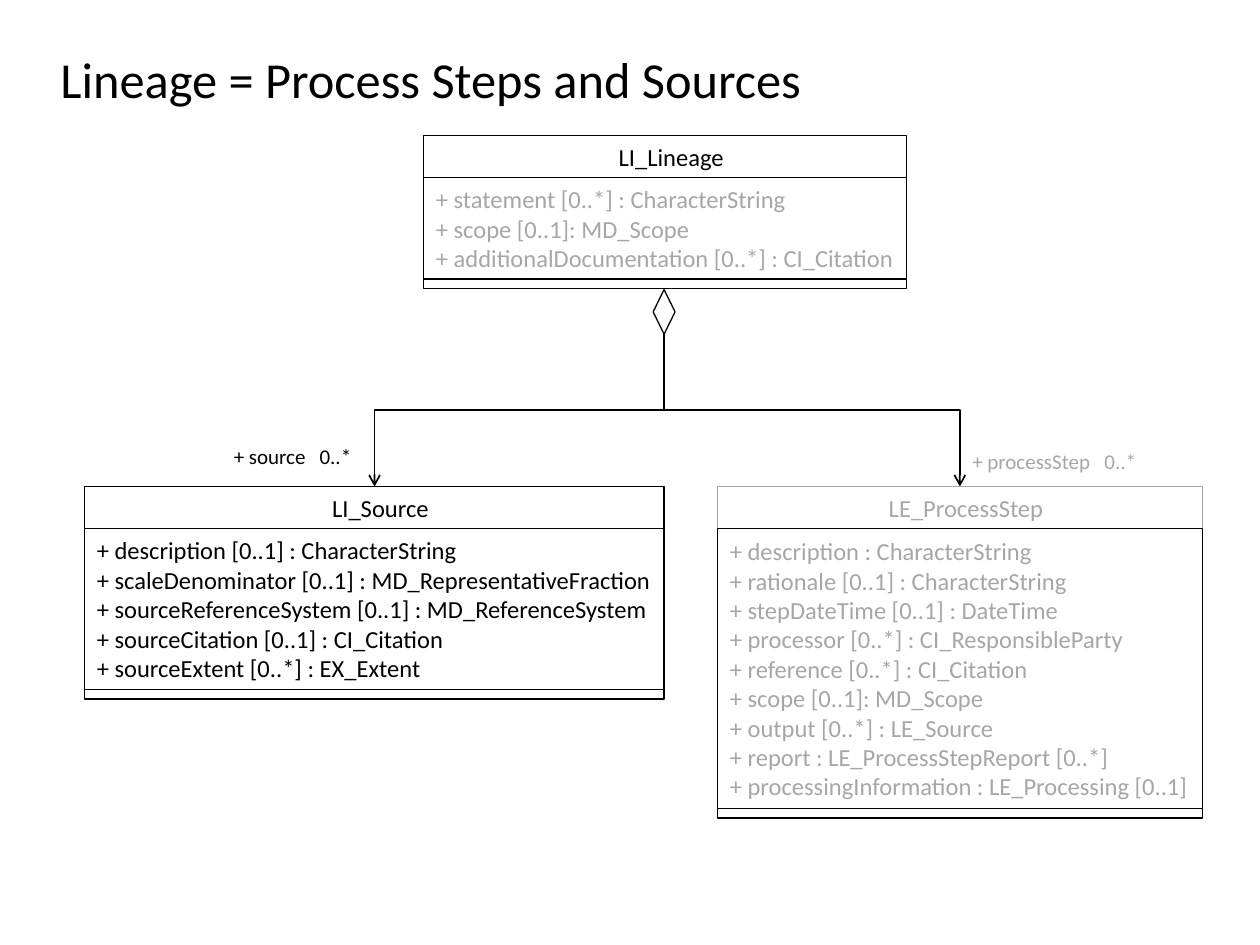
"""Draw a class diagram of lineage with its sources and process steps."""
from dataclasses import dataclass

import lxml.etree
import pptx
import pptx.dml.color
import pptx.enum.shapes
import pptx.enum.text
import pptx.oxml.ns
import pptx.util

Pt = pptx.util.Pt
RGB = pptx.dml.color.RGBColor
Kind = pptx.enum.shapes.MSO_SHAPE
Link = pptx.enum.shapes.MSO_CONNECTOR
Align = pptx.enum.text.PP_ALIGN
Anchor = pptx.enum.text.MSO_ANCHOR
qn = pptx.oxml.ns.qn

BLACK = RGB(0x00, 0x00, 0x00)
GREY = RGB(0xA6, 0xA6, 0xA6)
FONT = "Calibri"
LINE, PAD, FOOT = 17, 7, 5.5
INSET = {"margin_left": Pt(7.2), "margin_top": Pt(3.6),
         "margin_right": 0, "margin_bottom": Pt(3.6)}


@dataclass
class Box:
    name: str
    left: float
    top: float
    width: float
    rows: list[str]
    head: RGB = BLACK
    ink: RGB = BLACK


@dataclass
class Label:
    text: str
    left: float
    top: float
    width: float
    height: float
    size: float
    ink: RGB = BLACK
    stop: float = 0


@dataclass
class Arrow:
    end: float
    turn: int
    flip: bool


BOXES = [
    Box("LI_Lineage", 242, 77.5, 276, [
        "+ statement [0..*] : CharacterString",
        "+ scope [0..1]: MD_Scope",
        "+ additionalDocumentation [0..*] : CI_Citation",
    ], ink=GREY),
    Box("LI_Source", 48.25, 278, 331.25, [
        "+ description [0..1] : CharacterString",
        "+ scaleDenominator [0..1] : MD_RepresentativeFraction",
        "+ sourceReferenceSystem [0..1] : MD_ReferenceSystem",
        "+ sourceCitation [0..1] : CI_Citation",
        "+ sourceExtent [0..*] : EX_Extent",
    ]),
    Box("LE_ProcessStep", 410, 278, 277, [
        "+ description : CharacterString",
        "+ rationale [0..1] : CharacterString",
        "+ stepDateTime [0..1] : DateTime",
        "+ processor [0..*] : CI_ResponsibleParty",
        "+ reference [0..*] : CI_Citation",
        "+ scope [0..1]: MD_Scope",
        "+ output [0..*] : LE_Source",
        "+ report : LE_ProcessStepReport [0..*]",
        "+ processingInformation : LE_Processing [0..1]",
    ], head=GREY, ink=GREY),
]
LABELS = [
    Label("Lineage = Process Steps and Sources", 27.5, 27.5, 441, 34, 28.8),
    Label("+ source\t0..*", 126.5, 250, 87, 21.5, 12, stop=49),
    Label("+ processStep\t0..*", 548.5, 253, 118, 21.5, 12, GREY, 75.5),
]
ROOT = (379.5, 191)
ARROWS = [Arrow(548.5, 270, True), Arrow(214, 90, False)]


def write(frame, rows: list[str], size: float, ink: RGB, align, stop: float = 0) -> None:
    """Fill a text frame with one paragraph per row."""
    look = INSET | {"word_wrap": True, "vertical_anchor": Anchor.MIDDLE}
    for key, value in look.items():
        setattr(frame, key, value)
    frame.text = "\n".join(rows)
    for para in frame.paragraphs:
        para.alignment = align
        if stop:
            tabs = lxml.etree.SubElement(para._p.get_or_add_pPr(), qn("a:tabLst"))
            lxml.etree.SubElement(tabs, qn("a:tab"), pos=str(Pt(stop)), algn="l")
        for run in para.runs:
            for key, value in {"name": FONT, "size": Pt(size)}.items():
                setattr(run.font, key, value)
            run.font.color.rgb = ink


def shape(slide, kind, left: float, top: float, width: float, height: float,
          edge: RGB = BLACK):
    """Add an unfilled outlined shape."""
    item = slide.shapes.add_shape(kind, Pt(left), Pt(top), Pt(width), Pt(height))
    item.shadow.inherit = False
    item.fill.background()
    item.line.color.rgb = edge
    item.line.width = Pt(0.75)
    return item


def draw_box(slide, box: Box) -> None:
    """Stack the name, the rows and the empty foot of a class."""
    top = box.top
    parts = [([box.name], box.head, box.head, Align.CENTER),
             (box.rows, BLACK, box.ink, Align.LEFT)]
    for rows, edge, ink, align in parts:
        height = LINE * len(rows) + PAD
        item = shape(slide, Kind.RECTANGLE, box.left, top, box.width, height, edge)
        write(item.text_frame, rows, 14, ink, align)
        top += height
    shape(slide, Kind.RECTANGLE, box.left, top, box.width, FOOT)


def draw_label(slide, label: Label) -> None:
    """Add a line of free text."""
    item = slide.shapes.add_textbox(Pt(label.left), Pt(label.top),
                                    Pt(label.width), Pt(label.height))
    write(item.text_frame, [label.text], label.size, label.ink, Align.LEFT, label.stop)


def draw_arrow(slide, arrow: Arrow, floor: float) -> None:
    """Run a turned elbow from the diamond down to a class."""
    wide, high = floor - ROOT[1], abs(arrow.end - ROOT[0])
    left = (ROOT[0] + arrow.end - wide) / 2
    top = (ROOT[1] + floor - high) / 2
    start, stop = left, left + wide
    if arrow.flip:
        start, stop = stop, start
    item = slide.shapes.add_connector(Link.ELBOW, Pt(start), Pt(top),
                                      Pt(stop), Pt(top + high))
    item.line.color.rgb = BLACK
    item.line.width = Pt(1)
    props = item._element.spPr
    props.find(qn("a:xfrm")).set("rot", str(arrow.turn * 60000))
    lxml.etree.SubElement(props.find(qn("a:ln")), qn("a:tailEnd"), type="arrow")
    lxml.etree.SubElement(props, qn("a:effectLst"))


def main() -> None:
    """Build and save the slide."""
    deck = pptx.Presentation()
    deck.slide_width, deck.slide_height = Pt(720), Pt(540)
    slide = deck.slides.add_slide(deck.slide_layouts[6])
    for arrow in ARROWS:
        draw_arrow(slide, arrow, BOXES[1].top)
    for box in BOXES:
        draw_box(slide, box)
    shape(slide, Kind.DIAMOND, ROOT[0] - 6.25, ROOT[1] - 25.5, 12.5, 25.5)
    for label in LABELS:
        draw_label(slide, label)
    deck.save("out.pptx")


if __name__ == "__main__":
    main()
